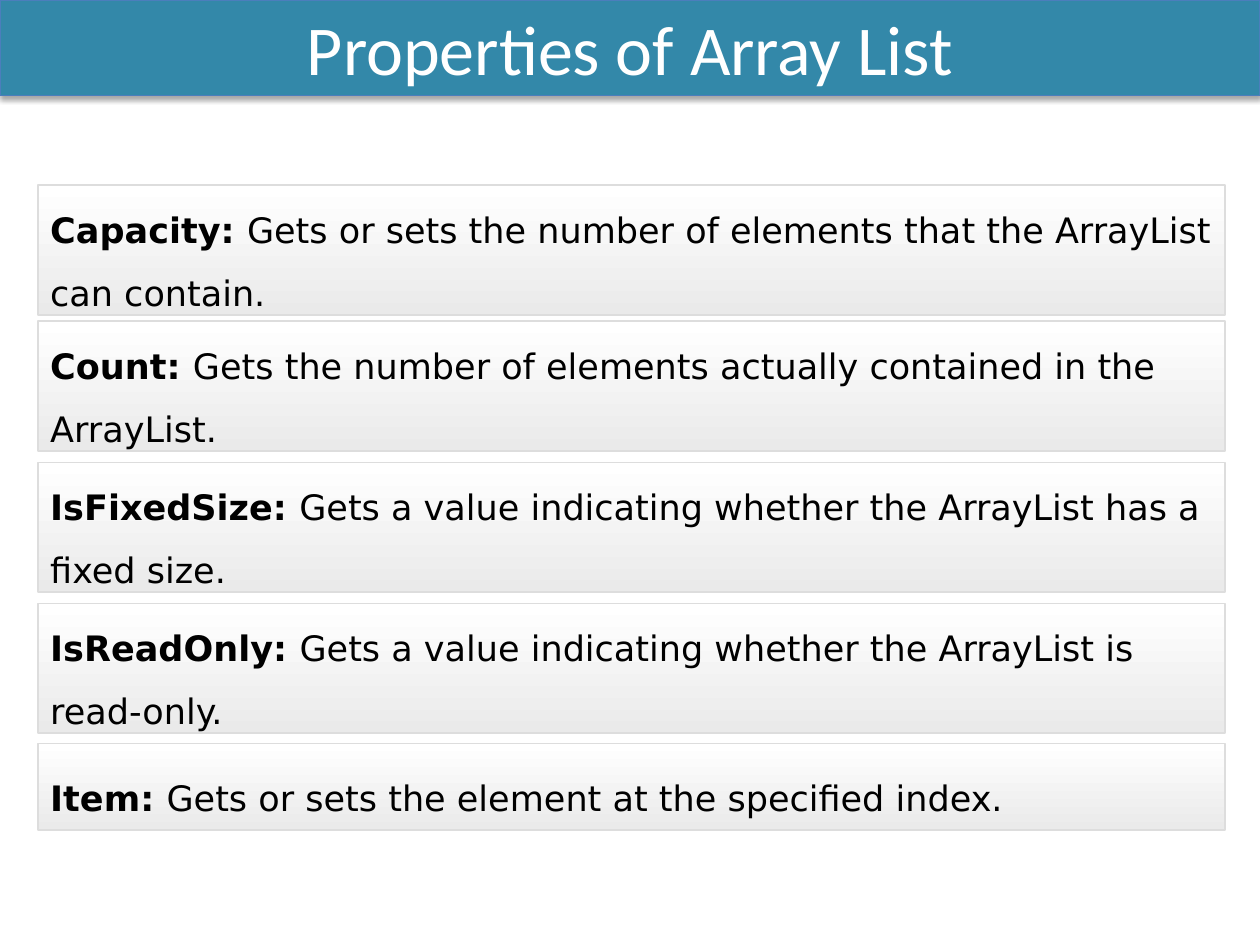
import pptx
import pptx.util
import pptx.dml.color
import pptx.enum.shapes
import pptx.enum.text
import pptx.oxml
import pptx.oxml.ns

Inches, Pt = pptx.util.Inches, pptx.util.Pt
RGB = pptx.dml.color.RGBColor.from_string
ALIGN = pptx.enum.text.PP_ALIGN
MIDDLE = pptx.enum.text.MSO_ANCHOR.MIDDLE

COLORS = {
    "banner": "3388A9",
    "banner_line": "4B7EBC",
    "banner_text": "FFFFFF",
    "card_top": "FFFFFF",
    "card_bottom": "EAEAEA",
    "card_line": "DDDDDD",
    "text": "000000",
    "shadow": "000000",
}
TITLE_FONT = {"name": "Calibri", "size": Pt(40), "bold": False}
CARD_FONT = {"name": "DejaVu Sans", "size": Pt(20)}

# top, height, property name, description
PROPERTIES = [
    (1.47, 1.03, "Capacity", "Gets or sets the number of elements that the ArrayList can contain."),
    (2.55, 1.03, "Count", "Gets the number of elements actually contained in the ArrayList."),
    (3.67, 1.03, "IsFixedSize", "Gets a value indicating whether the ArrayList has a fixed size."),
    (4.79, 1.03, "IsReadOnly", "Gets a value indicating whether the ArrayList is read-only."),
    (5.9, 0.69, "Item", "Gets or sets the element at the specified index."),
]


def add_span(para, text, font, color):
    span = para.add_run()
    span.text = text
    for name, value in font.items():
        setattr(span.font, name, value)
    span.font.color.rgb = RGB(COLORS[color])


def set_line(shape, color, width):
    shape.line.color.rgb = RGB(COLORS[color])
    shape.line.width = Pt(width)


deck = pptx.Presentation()
deck.slide_width, deck.slide_height = Inches(10), Inches(7.5)
slide = deck.slides.add_slide(deck.slide_layouts[5])

# Title banner
title = slide.shapes.title
title.left, title.top = Inches(0), Inches(0)
title.width, title.height = Inches(10), Inches(0.76)
title.fill.solid()
title.fill.fore_color.rgb = RGB(COLORS["banner"])
set_line(title, "banner_line", 0.75)
title.text_frame.auto_size = pptx.enum.text.MSO_AUTO_SIZE.NONE
title.text_frame.vertical_anchor = MIDDLE
para = title.text_frame.paragraphs[0]
para.alignment = ALIGN.CENTER
add_span(para, "Properties of Array List", TITLE_FONT, "banner_text")
title.element.spPr.append(pptx.oxml.parse_xml(
    f'<a:effectLst {pptx.oxml.ns.nsdecls("a")}>'
    f'<a:outerShdw blurRad="{Pt(3.1)}" dist="{Pt(1.8)}" dir="5400000" rotWithShape="0">'
    f'<a:srgbClr val="{COLORS["shadow"]}"><a:alpha val="35000"/></a:srgbClr>'
    '</a:outerShdw></a:effectLst>'))

# One card per property
for top, height, name, description in PROPERTIES:
    card = slide.shapes.add_shape(
        pptx.enum.shapes.MSO_SHAPE.RECTANGLE,
        Inches(0.3), Inches(top), Inches(9.42), Inches(height))
    card.shadow.inherit = False
    card.fill.gradient()
    card.fill.gradient_angle = 270
    for stop, color in zip(card.fill.gradient_stops, ("card_top", "card_bottom")):
        stop.color.rgb = RGB(COLORS[color])
    set_line(card, "card_line", 1)
    card.text_frame.word_wrap = True
    card.text_frame.vertical_anchor = MIDDLE
    para = card.text_frame.paragraphs[0]
    para.alignment = ALIGN.LEFT
    para.line_spacing = 1.5
    add_span(para, f"{name}: ", CARD_FONT | {"bold": True}, "text")
    add_span(para, description, CARD_FONT | {"bold": False}, "text")

deck.save("out.pptx")
